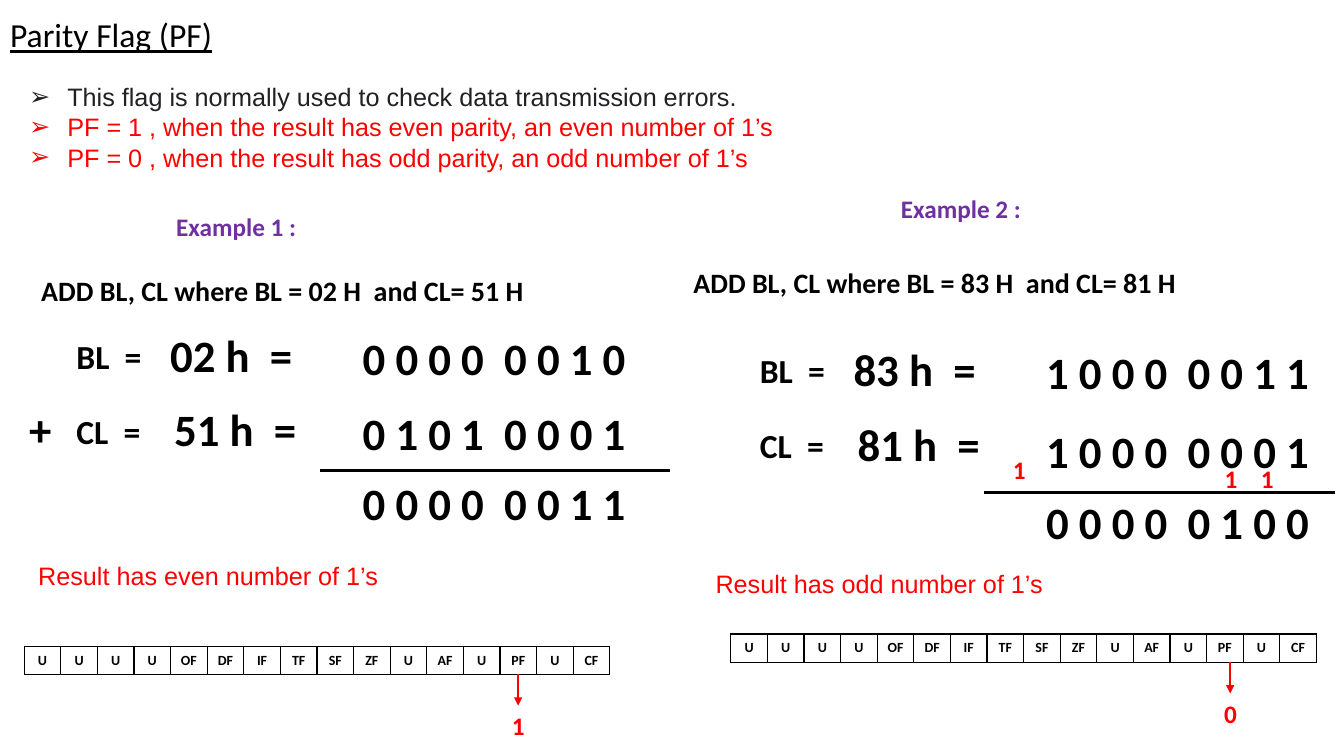
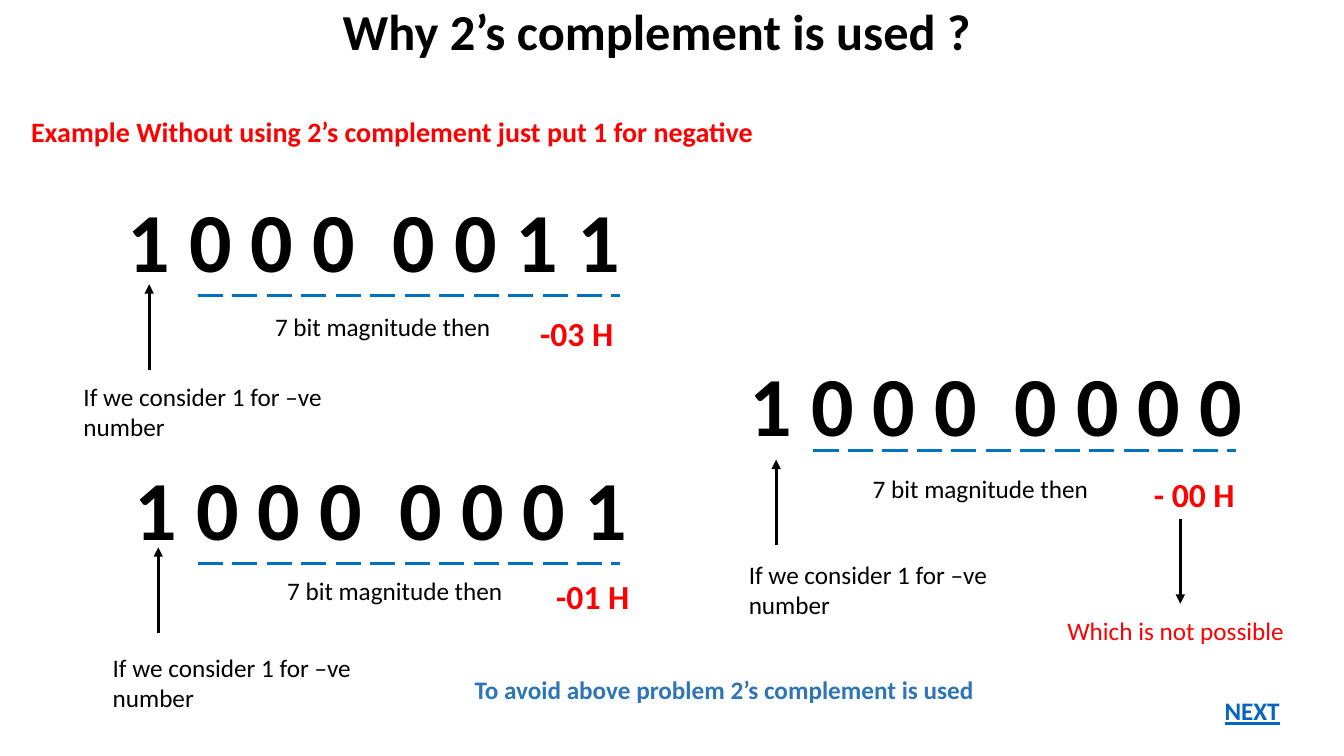
from dataclasses import dataclass

from lxml import etree
from pptx import Presentation
from pptx.dml.color import RGBColor
from pptx.enum.dml import MSO_LINE
from pptx.enum.shapes import MSO_CONNECTOR
from pptx.enum.text import MSO_ANCHOR, MSO_AUTO_SIZE, PP_ALIGN
from pptx.oxml.ns import qn
from pptx.util import Inches, Pt

STRAIGHT = MSO_CONNECTOR.STRAIGHT
LONG_DASH = MSO_LINE.LONG_DASH
TOP, MIDDLE = MSO_ANCHOR.TOP, MSO_ANCHOR.MIDDLE
LEFT, CENTER = PP_ALIGN.LEFT, PP_ALIGN.CENTER
NO_FIT = MSO_AUTO_SIZE.NONE

COLORS = {
    "black": "000000", "white": "FFFFFF", "charcoal": "202124", "red": "FF0000",
    "purple": "7030A0", "blue": "0070C0", "steel": "2E75B6", "link": "0563C1",
}
BODY, PLAIN = "Calibri", "Arial"
SLIDE_WIDTH, SLIDE_HEIGHT = Inches(13.33), Inches(7.5)
GRID_COLUMNS, GRID_ROWS = 80, 45
TITLE_ONLY = 5

FLAGS = "U U U U OF DF IF TF SF ZF U AF U PF U CF".split()
FLAG_WIDTH, FLAG_HEIGHT = 2.18, 1.68


def color(name):
    return RGBColor.from_string(COLORS[name])


def across(columns):
    return round(SLIDE_WIDTH * columns / GRID_COLUMNS)


def down(rows):
    return round(SLIDE_HEIGHT * rows / GRID_ROWS)


@dataclass
class Addition:
    """One worked sum; points are (column, row) on the grid."""
    heading: str
    heading_at: tuple
    instruction: str
    instruction_at: tuple
    operands: tuple
    operands_at: tuple
    bits: tuple
    bits_column: float
    bits_rows: tuple
    rule_at: tuple
    verdict: str
    verdict_at: tuple
    flags_at: tuple
    pointer_column: float
    parity: str


@dataclass
class SignedByte:
    """One byte with its sign and magnitude marked; points are (column, row)."""
    bits: str
    bits_at: tuple
    arrow_at: tuple
    note_at: tuple
    rule_at: tuple
    magnitude_at: tuple
    value: str
    value_at: tuple


class Deck:
    def __init__(self):
        self.presentation = Presentation()
        self.presentation.slide_width = SLIDE_WIDTH
        self.presentation.slide_height = SLIDE_HEIGHT
        self.slide = None

    def style(self, paragraph, size, ink="black", bold=False, underline=False,
              font=BODY, align=LEFT):
        paragraph.alignment = align
        paragraph.font.name = font
        paragraph.font.size = Pt(size)
        paragraph.font.bold = bold
        paragraph.font.underline = underline
        paragraph.font.color.rgb = color(ink)

    def new_slide(self, title, at, width, size, **look):
        layout = self.presentation.slide_layouts[TITLE_ONLY]
        self.slide = self.presentation.slides.add_slide(layout)
        shape = self.slide.shapes.title
        shape.left, shape.top = across(at[0]), down(at[1])
        shape.width, shape.height = across(width), Pt(size * 1.4)
        frame = shape.text_frame
        frame.text = title
        frame.auto_size = NO_FIT
        frame.vertical_anchor = TOP
        frame.margin_top = 0
        self.style(frame.paragraphs[0], size, **look)

    def text(self, content, at, width, size=18, lines=1, **look):
        """Add a box whose height follows from its size and line count."""
        height = Pt(size * 1.2 * lines) + Inches(0.1)
        box = self.slide.shapes.add_textbox(
            across(at[0]), down(at[1]), across(width), height)
        frame = box.text_frame
        frame.word_wrap = True
        frame.text = content
        for paragraph in frame.paragraphs:
            self.style(paragraph, size, **look)
        return frame

    def bullets(self, items, at, width):
        """Add a bulleted list of (wording, colour) pairs."""
        frame = self.text("\n".join(wording for wording, _ in items), at, width,
                          lines=len(items), font=PLAIN)
        for paragraph, (_, ink) in zip(frame.paragraphs, items):
            paragraph.font.color.rgb = color(ink)
            properties = paragraph._p.get_or_add_pPr()
            properties.set("marL", str(Inches(0.38)))
            properties.set("indent", str(-Inches(0.38)))
            bullet_font = etree.Element(qn("a:buFont"), typeface=PLAIN)
            bullet = etree.Element(qn("a:buChar"), char="➢")
            properties.insert(0, bullet_font)
            properties.insert(1, bullet)

    def line(self, start, end, ink="black", weight=2.25, dash=None, arrow=False):
        connector = self.slide.shapes.add_connector(
            STRAIGHT, across(start[0]), down(start[1]), across(end[0]), down(end[1]))
        connector.line.color.rgb = color(ink)
        connector.line.width = Pt(weight)
        if dash is not None:
            connector.line.dash_style = dash
        properties = connector.element.spPr
        if arrow:
            outline = properties.find(qn("a:ln"))
            etree.SubElement(outline, qn("a:tailEnd"), type="triangle")
        etree.SubElement(properties, qn("a:effectLst"))

    def rule(self, at, length, **look):
        self.line(at, (at[0] + length, at[1]), **look)

    def flag_register(self, at):
        table = self.slide.shapes.add_table(
            1, len(FLAGS), across(at[0]), down(at[1]),
            across(FLAG_WIDTH * len(FLAGS)), down(FLAG_HEIGHT)).table
        table.first_row = table.horz_banding = False
        for index, flag in enumerate(FLAGS):
            table.columns[index].width = across(FLAG_WIDTH)
            cell = table.cell(0, index)
            cell.text = flag
            cell.margin_left = cell.margin_right = 0
            cell.vertical_anchor = MIDDLE
            self.style(cell.text_frame.paragraphs[0], 10, bold=True, align=CENTER)
            self.border(cell)
            cell.fill.solid()
            cell.fill.fore_color.rgb = color("white")

    def border(self, cell):
        properties = cell._tc.get_or_add_tcPr()
        for side in ("a:lnL", "a:lnR", "a:lnT", "a:lnB"):
            edge = etree.SubElement(properties, qn(side), w=str(Pt(1)))
            fill = etree.SubElement(edge, qn("a:solidFill"))
            etree.SubElement(fill, qn("a:srgbClr"), val=COLORS["black"])

    def addition(self, example):
        self.text(example.heading, example.heading_at, 10, ink="purple", bold=True)
        self.text(example.instruction, example.instruction_at, 38, size=20, bold=True)
        left, top = example.operands_at
        for index, (register, value) in enumerate(example.operands):
            row = top + 4.44 * index
            self.text(register, (left, row + 0.5), 6, size=24, bold=True)
            self.text(value, (left + 5.58 + 0.24 * index, row), 11, size=32, bold=True)
        for bits, row in zip(example.bits, example.bits_rows):
            self.text(bits, (example.bits_column, row), 18, size=32, bold=True)
        self.rule(example.rule_at, 20.88)
        self.text(example.verdict, example.verdict_at, 25, ink="red", font=PLAIN)

        self.flag_register(example.flags_at)
        pointer = example.pointer_column
        bottom = example.flags_at[1] + FLAG_HEIGHT
        self.line((pointer, bottom), (pointer, bottom + 1.86), ink="red",
                  weight=1.5, arrow=True)
        self.text(example.parity, (pointer - 0.96, bottom + 1.86), 3, ink="red", bold=True)

    def signed_byte(self, byte):
        self.text(byte.bits, byte.bits_at, 31.74, size=60, bold=True)
        column, row = byte.arrow_at
        self.line((column, row + 5.1), (column, row), arrow=True)
        self.text("If we consider 1 for –ve number", byte.note_at, 19.38, lines=2)
        self.rule(byte.rule_at, 25.14, ink="blue", dash=LONG_DASH)
        self.text("7 bit magnitude then", byte.magnitude_at, 16)
        self.text(byte.value, byte.value_at, 8, size=24, ink="red", bold=True)

    def save(self):
        self.presentation.save("out.pptx")


ADDITIONS = (
    Addition(
        heading="Example 1 :", heading_at=(9.9, 12.3),
        instruction="ADD BL, CL where BL = 02 H  and CL= 51 H",
        instruction_at=(1.86, 15.96),
        operands=(("BL  =", "02 h  ="), ("CL  =", "51 h  =")),
        operands_at=(3.96, 19.2),
        bits=("0 0 0 0  0 0 1 0", "0 1 0 1  0 0 0 1", "0 0 0 0  0 0 1 1"),
        bits_column=21, bits_rows=(19.38, 23.88, 28.02), rule_at=(19.02, 28.02),
        verdict="Result has even number of 1’s", verdict_at=(1.68, 33.06),
        flags_at=(1.44, 38.46), pointer_column=30.84, parity="1"),
    Addition(
        heading="Example 2 :", heading_at=(53.04, 11.22),
        instruction="ADD BL, CL where BL = 83 H  and CL= 81 H",
        instruction_at=(40.68, 15.48),
        operands=(("BL  =", "83 h  ="), ("CL  =", "81 h  =")),
        operands_at=(44.64, 20.04),
        bits=("1 0 0 0  0 0 1 1", "1 0 0 0  0 0 0 1", "0 0 0 0  0 1 0 0"),
        bits_column=61.68, bits_rows=(20.22, 24.9, 29.16), rule_at=(58.56, 29.34),
        verdict="Result has odd number of 1’s", verdict_at=(42, 33.54),
        flags_at=(43.5, 37.74), pointer_column=73.23, parity="0"),
)
CARRIES = ((59.7, 26.76), (72.3, 27.3), (74.46, 27.3))

SIGNED_BYTES = (
    SignedByte("1 0 0 0  0 0 1 1", bits_at=(7.02, 10.92), arrow_at=(8.88, 16.92),
               note_at=(4.38, 22.38), rule_at=(11.76, 17.58),
               magnitude_at=(15.78, 18.24), value="-03 H", value_at=(31.56, 18.36)),
    SignedByte("1 0 0 0  0 0 0 1", bits_at=(7.44, 26.88), arrow_at=(9.42, 32.58),
               note_at=(6.12, 38.52), rule_at=(11.76, 33.54),
               magnitude_at=(16.5, 33.96), value="-01 H", value_at=(32.52, 33.96)),
    SignedByte("1 0 0 0  0 0 0 0", bits_at=(44.04, 20.7), arrow_at=(46.2, 27.36),
               note_at=(43.98, 33), rule_at=(48.42, 26.82),
               magnitude_at=(51.36, 27.9), value="- 00 H", value_at=(68.1, 27.9)),
)


def parity_slide(deck):
    deck.new_slide("Parity Flag (PF)", (0, 0.84), 20, 24, underline=True)
    deck.bullets((
        ("This flag is normally used to check data transmission errors.", "charcoal"),
        ("PF = 1 , when the result has even parity, an even number of 1’s", "red"),
        ("PF = 0 , when the result has odd parity, an odd number of 1’s", "red"),
    ), (1.14, 4.56), 74.7)
    for example in ADDITIONS:
        deck.addition(example)
    deck.text("+", (1.14, 23.64), 3, size=32, bold=True)
    for position in CARRIES:
        deck.text("1", position, 3, ink="red", bold=True)


def complement_slide(deck):
    deck.new_slide("Why 2’s complement is used ?", (19.8, 0), 53.7, 36, bold=True)
    deck.text("Example Without using 2’s complement just put 1 for negative",
              (1.26, 6.54), 53.7, size=20, ink="red", bold=True)
    for byte in SIGNED_BYTES:
        deck.signed_byte(byte)
    deck.line((70.26, 30.9), (70.26, 35.94), arrow=True)
    deck.text("Which is not possible", (62.94, 36.36), 16.5, ink="red")
    deck.text("To avoid above problem 2’s complement is used",
              (27.66, 39.84), 32.3, ink="steel", bold=True)
    deck.text("NEXT", (72.3, 41.1), 5.6, ink="link", bold=True, underline=True)


def main():
    deck = Deck()
    parity_slide(deck)
    complement_slide(deck)
    deck.save()


if __name__ == "__main__":
    main()
